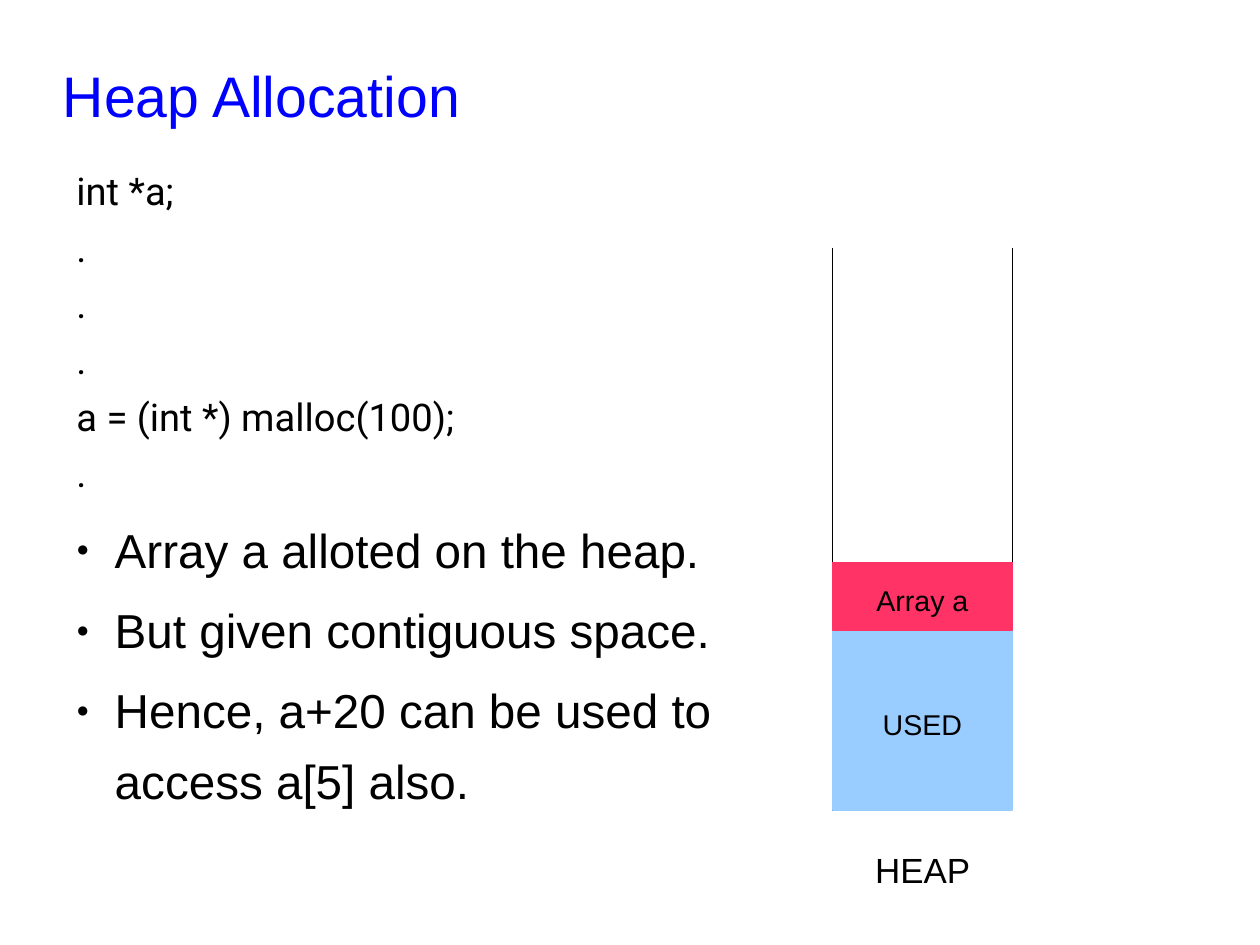
"""Build the Heap Allocation slide: code, notes and a heap diagram."""
from lxml import etree
from pptx import Presentation, util as u
from pptx.dml.color import RGBColor
from pptx.enum import shapes, text
from pptx.oxml import ns

PX = 9000
BLACK = "000000"


def color(value):
    return RGBColor.from_string(value)


def write(shape, lines, font, frame_format, para_format, indent=None, bullet=False):
    frame = shape.text_frame
    for name, value in frame_format.items():
        setattr(frame, name, value)
    for number, line in enumerate(lines):
        para = frame.paragraphs[0] if number == 0 else frame.add_paragraph()
        props = para._p.get_or_add_pPr()
        if indent:
            props.set("marL", str(indent[0] * PX))
            props.set("indent", str(indent[1] * PX))
        if bullet:
            bullet_color = etree.SubElement(props, ns.qn("a:buClr"))
            etree.SubElement(bullet_color, ns.qn("a:srgbClr"), val=BLACK)
            etree.SubElement(props, ns.qn("a:buSzPct"), val="45000")
            etree.SubElement(props, ns.qn("a:buFont"), typeface="Arial")
            etree.SubElement(props, ns.qn("a:buChar"), char="●")
        else:
            etree.SubElement(props, ns.qn("a:buNone"))
        for name, value in para_format.items():
            setattr(para, name, value)
        span = para.add_run()
        span.text = line
        span.font.name, span.font.size = font[0], u.Pt(font[1])
        span.font.color.rgb = color(font[2])


deck = Presentation()
deck.slide_width, deck.slide_height = u.Emu(10080625), u.Emu(7559675)
page = deck.slides.add_slide(deck.slide_layouts[6])

flush = dict(word_wrap=True, margin_left=0, margin_top=0, margin_right=0, margin_bottom=0)
middle = {"vertical_anchor": text.MSO_ANCHOR.MIDDLE}
single = {"line_spacing": 1.24}
listed = {"line_spacing": 1.24, "space_after": u.Pt(5.8)}
code = {"line_spacing": 1.03, "space_after": u.Pt(5.8)}
hanging = (46, -34)

text_boxes = [
    ((56, 34, 1006, 85), ["Heap Allocation"], ("Arial", 36, "0000FF"),
     {**flush, **middle}, single),
    ((56, 148, 504, 309), ["int *a;", ".", ".", ".", "a = (int *) malloc(100);", "."],
     ("Roboto", 24, BLACK), flush, code, hanging),
    ((56, 451, 605, 309),
     ["Array a alloted on the heap.", "But given contiguous space.",
      "Hence, a+20 can be used to access a[5] also."],
     ("Arial", 30, BLACK), flush, listed, hanging, True),
    ((768, 740, 120, 60), ["HEAP"], ("Arial", 22, BLACK), {"word_wrap": True}, single),
]
for place, *content in text_boxes:
    box = page.shapes.add_textbox(*(length * PX for length in place))
    write(box, *content)

left, right, top, bottom = 740, 900, 220, 720
walls = [(left, top, left, bottom), (right, top, right, bottom), (left, bottom, right, bottom)]
for ends in walls:
    wall = page.shapes.add_connector(
        shapes.MSO_CONNECTOR.STRAIGHT, *(length * PX for length in ends))
    wall.line.color.rgb = color(BLACK)
    wall.line.width = u.Pt(0.75)
    etree.SubElement(wall._element.spPr, ns.qn("a:effectLst"))

block_bottom = bottom
for label, height, fill in [("USED", 160, "99CCFF"), ("Array a", 60, "FF3366")]:
    block_bottom -= height
    block = page.shapes.add_shape(
        shapes.MSO_SHAPE.RECTANGLE, left * PX, block_bottom * PX,
        (right - left) * PX, height * PX)
    block.shadow.inherit = False
    block.fill.solid()
    block.fill.fore_color.rgb = color(fill)
    block.line.color.rgb = color(fill)
    block.line.width = u.Pt(0.75)
    write(block, [label], ("Arial", 18, BLACK), {**middle, "word_wrap": False},
          {**single, "alignment": text.PP_ALIGN.CENTER})

deck.save("out.pptx")
